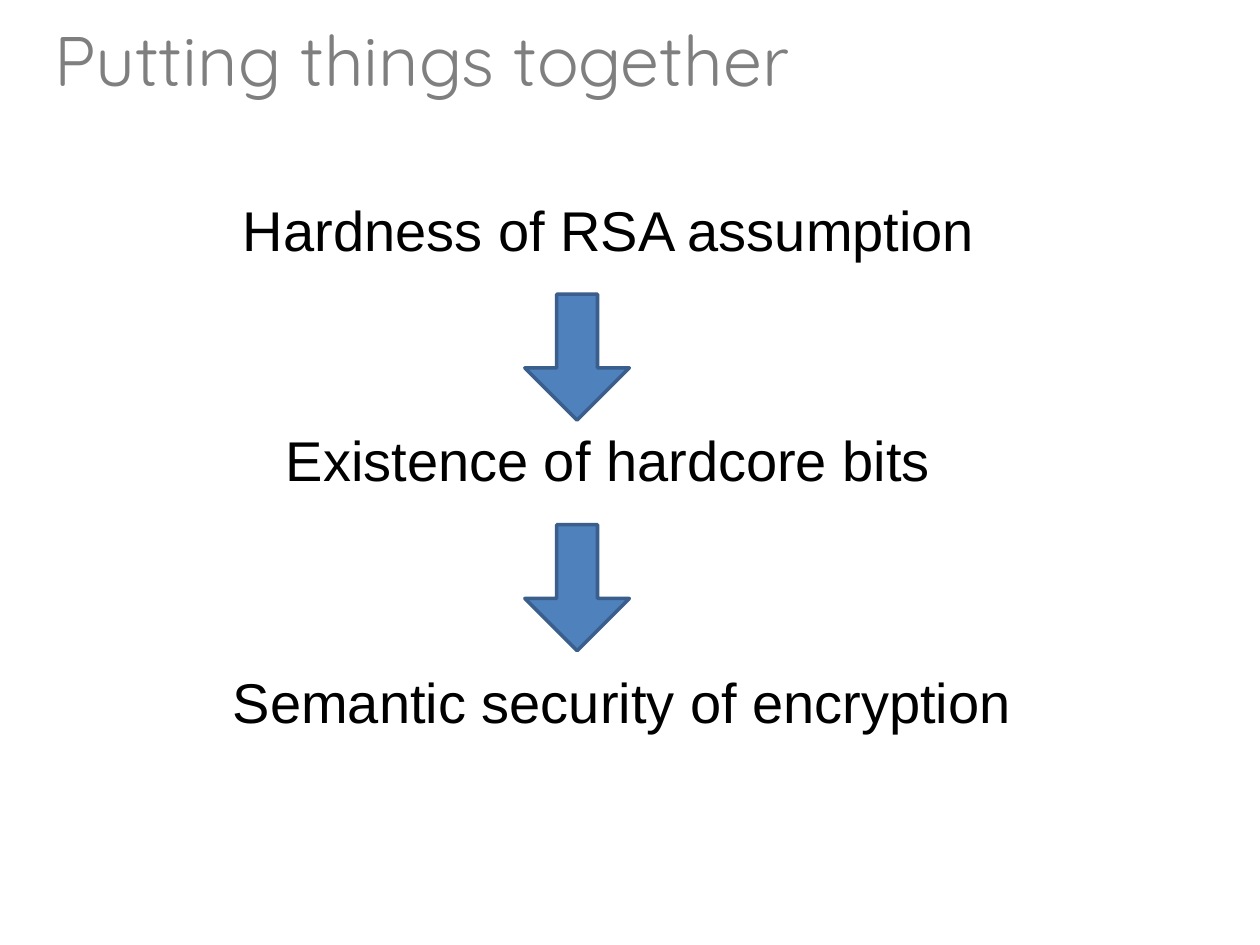
from pptx import Presentation
from pptx.dml.color import RGBColor
from pptx.enum.shapes import MSO_SHAPE
from pptx.enum.text import MSO_ANCHOR, PP_ALIGN
from pptx.util import Inches, Pt

GRAY = RGBColor(0x7F, 0x7F, 0x7F)
BLACK = RGBColor(0x00, 0x00, 0x00)
BLUE = RGBColor(0x4F, 0x81, 0xBD)
DARK_BLUE = RGBColor(0x3A, 0x5F, 0x8C)

TITLE = "Putting things together"
STEPS = [
    ("Hardness of RSA assumption", 1.83, 1.5, 6.17),
    ("Existence of hardcore bits", 2.17, 3.33, 6.17),
    ("Semantic security of encryption", 1.75, 5.25, 6.75),
]
STEP_HEIGHT = 0.64
ARROW_LEFT, ARROW_WIDTH, ARROW_HEIGHT = 4.08, 1, 0.83
ARROW_OFFSET = 0.92


def write_text(shape, text, font="Arial", size=32, color=BLACK):
    frame = shape.text_frame
    frame.word_wrap = True
    frame.vertical_anchor = MSO_ANCHOR.TOP
    paragraph = frame.paragraphs[0]
    paragraph.text = text
    paragraph.alignment = PP_ALIGN.LEFT
    paragraph.font.name = font
    paragraph.font.size = Pt(size)
    paragraph.font.color.rgb = color


def add_down_arrow(slide, top):
    arrow = slide.shapes.add_shape(
        MSO_SHAPE.RIGHT_ARROW, Inches(ARROW_LEFT), Inches(top),
        Inches(ARROW_WIDTH), Inches(ARROW_HEIGHT))
    arrow.rotation = 90
    arrow.adjustments[0] = 0.39
    arrow.adjustments[1] = 0.5
    arrow.shadow.inherit = False
    arrow.fill.solid()
    arrow.fill.fore_color.rgb = BLUE
    arrow.line.color.rgb = DARK_BLUE
    arrow.line.width = Pt(2)


presentation = Presentation()
presentation.slide_width = Inches(10)
presentation.slide_height = Inches(7.5)
slide = presentation.slides.add_slide(presentation.slide_layouts[5])

title = slide.shapes.title
title.left, title.top = Inches(0.33), Inches(0.08)
title.width, title.height = Inches(9.33), Inches(0.77)
write_text(title, TITLE, font="Quicksand", size=40, color=GRAY)

for index, (text, left, top, width) in enumerate(STEPS):
    box = slide.shapes.add_textbox(
        Inches(left), Inches(top), Inches(width), Inches(STEP_HEIGHT))
    write_text(box, text)
    if index < len(STEPS) - 1:
        add_down_arrow(slide, top + ARROW_OFFSET)

presentation.save("out.pptx")
